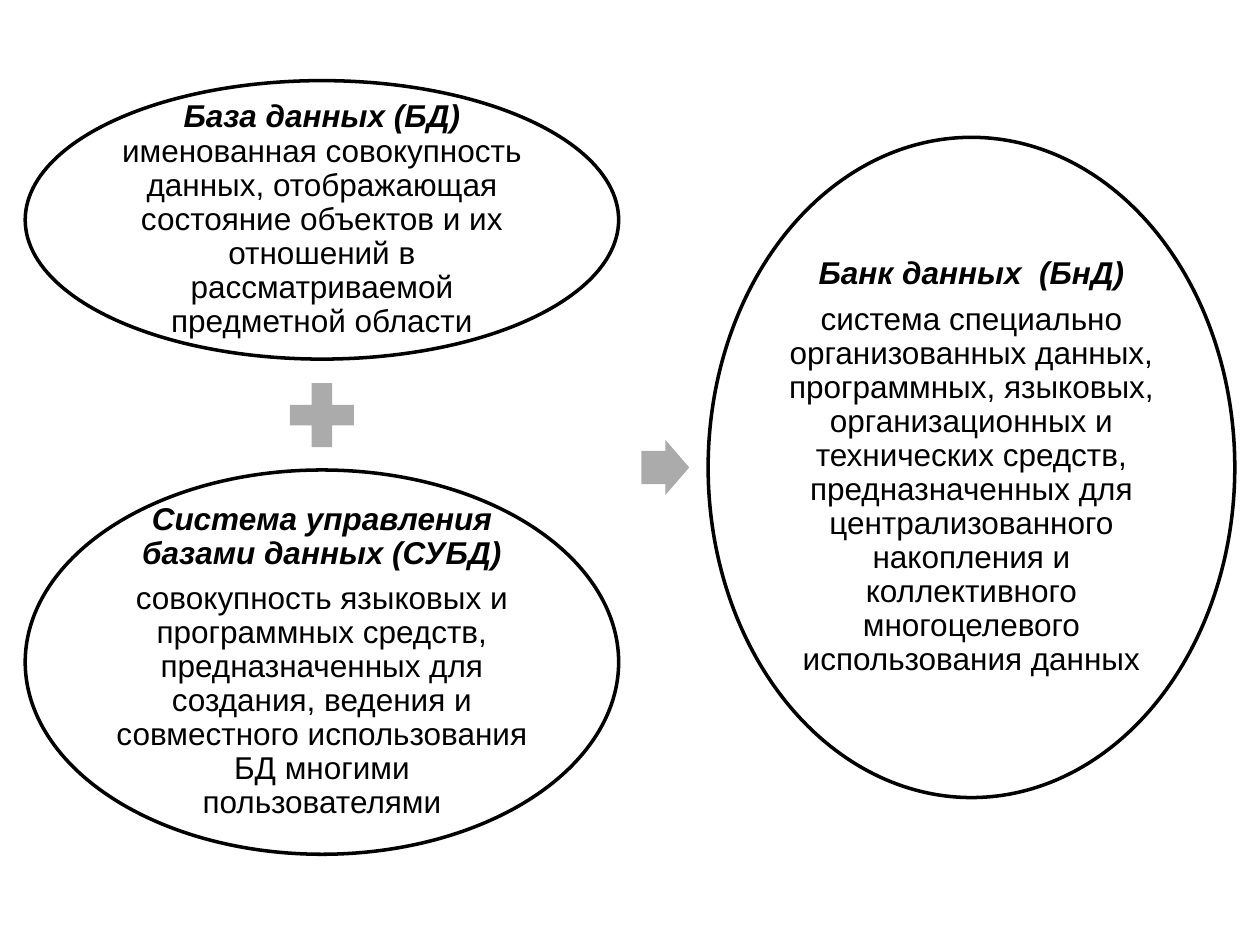
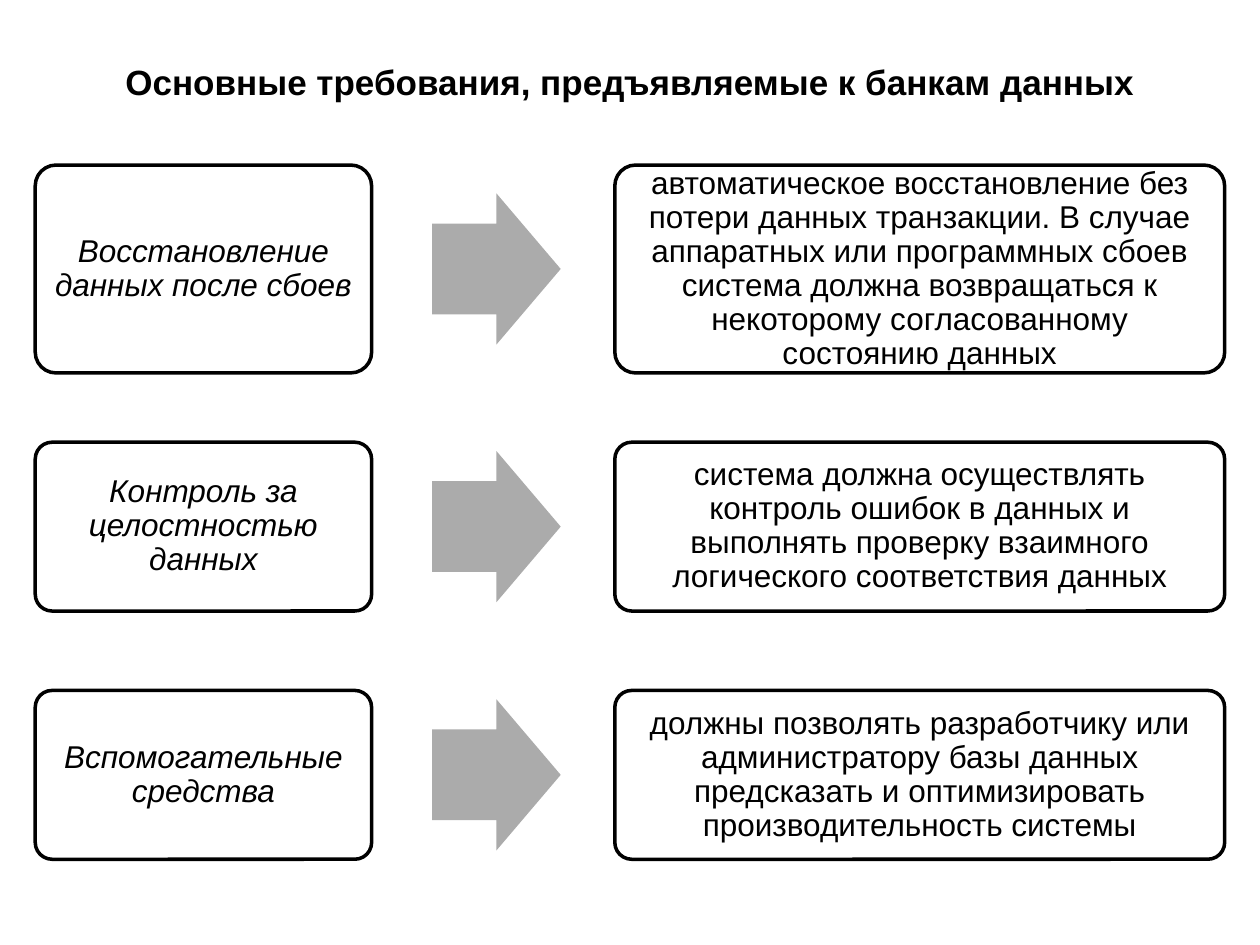
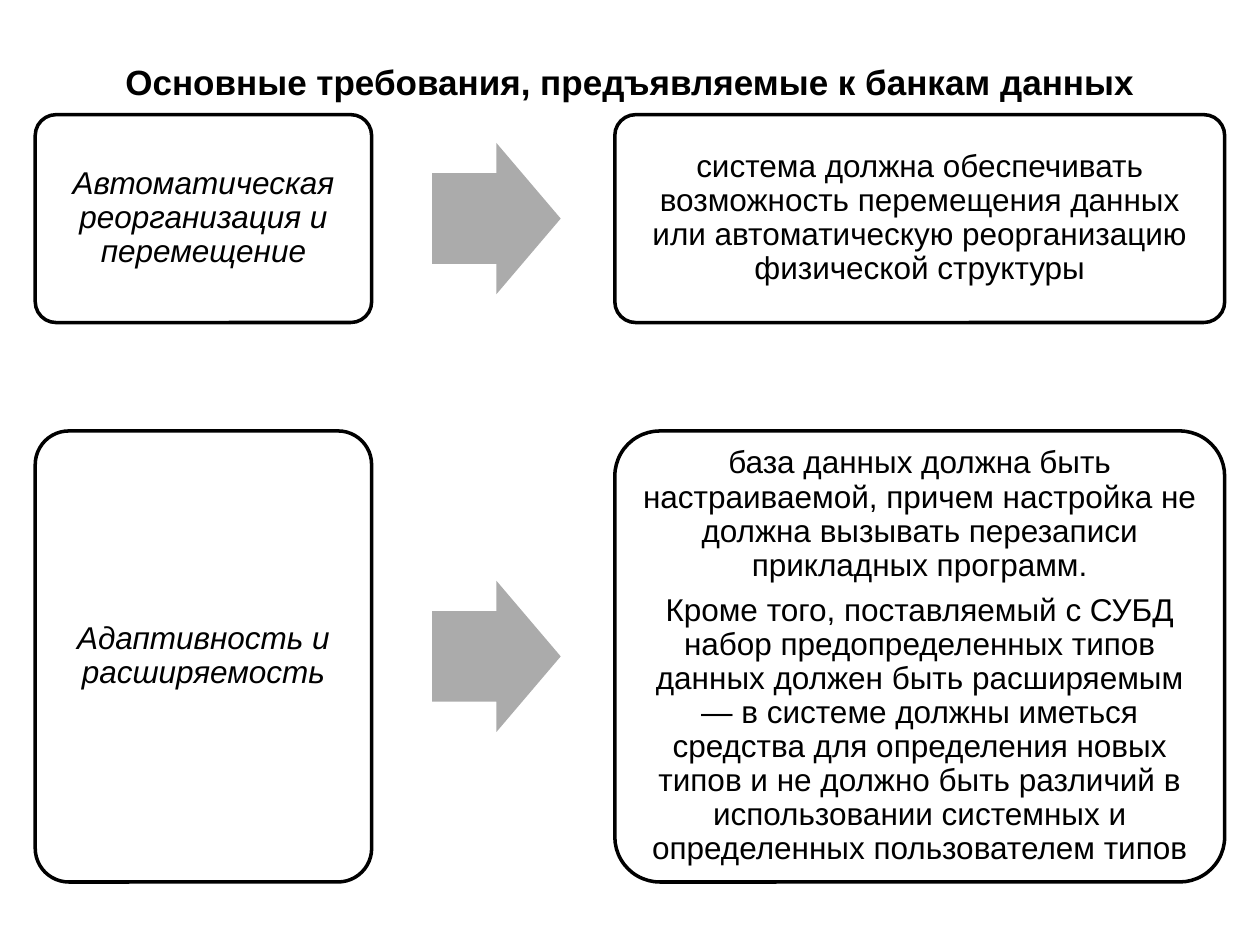
from pptx import Presentation
from pptx.dml.color import RGBColor
from pptx.enum.shapes import MSO_SHAPE
from pptx.enum.text import MSO_ANCHOR, PP_ALIGN
from pptx.util import Inches, Pt

# Theme: colours, type sizes and formats
THEME = {
    "ink": RGBColor(0, 0, 0),
    "paper": RGBColor(255, 255, 255),
    "sign": RGBColor(0xAB, 0xAB, 0xAB),
    "line": Pt(2),
    "title": {"name": "Arial", "size": Pt(20), "bold": True},
    "body": {"name": "Arial", "size": Pt(18), "bold": False, "italic": False},
    "term": {"name": "Arial", "size": Pt(18), "bold": True, "italic": True},
    "label": {"name": "Arial", "size": Pt(18), "bold": False, "italic": True},
    "para": {"alignment": PP_ALIGN.CENTER, "line_spacing": 0.9,
             "space_after": Pt(6.3)},
}


def write(para, text, style):
    run = para.add_run()
    run.text = text
    for key, val in THEME[style].items():
        setattr(run.font, key, val)
    run.font.color.rgb = THEME["ink"]


def draw(slide, kind, spot, adjust=(), paras=(), inset=0.0):
    """Add a framed shape with text, or a plain grey sign without."""
    shape = slide.shapes.add_shape(kind, *[Inches(n) for n in spot])
    shape.shadow.inherit = False
    for i, val in enumerate(adjust):
        shape.adjustments[i] = val
    shape.fill.solid()
    if not paras:
        shape.fill.fore_color.rgb = THEME["sign"]
        shape.line.fill.background()
        return
    shape.fill.fore_color.rgb = THEME["paper"]
    shape.line.color.rgb = THEME["ink"]
    shape.line.width = THEME["line"]
    frame = shape.text_frame
    frame.word_wrap = True
    frame.vertical_anchor = MSO_ANCHOR.MIDDLE
    for side in ("left", "top", "right", "bottom"):
        setattr(frame, "margin_" + side, Inches(inset))
    for i, runs in enumerate(paras):
        para = frame.add_paragraph() if i else frame.paragraphs[0]
        for key, val in THEME["para"].items():
            setattr(para, key, val)
        for text, style in runs:
            write(para, text, style)


deck = Presentation()
deck.slide_width, deck.slide_height = Inches(10), Inches(7.5)

# Slide 1: database plus its control system make a data bank
slide = deck.slides.add_slide(deck.slide_layouts[6])
ovals = [
    ((0.2, 0.64, 4.71, 2.21), [
        [("База данных (БД) ", "term"),
         ("именованная совокупность данных, отображающая состояние объектов "
          "и их отношений в рассматриваемой предметной области", "body")]]),
    ((0.2, 3.73, 4.71, 3.05), [
        [("Система управления базами данных (СУБД)", "term")],
        [("совокупность языковых и программных средств, предназначенных для "
          "создания, ведения и совместного использования БД многими "
          "пользователями", "body")]]),
    ((5.62, 1.09, 4.18, 5.24), [
        [("Банк данных  (БнД)", "term")],
        [("система специально организованных данных, программных, языковых, "
          "организационных и технических средств, предназначенных для "
          "централизованного накопления и коллективного многоцелевого "
          "использования данных", "body")]]),
]
for spot, paras in ovals:
    draw(slide, MSO_SHAPE.OVAL, spot, paras=paras, inset=0.03)
draw(slide, MSO_SHAPE.MATH_PLUS, (2.21, 2.95, 0.69, 0.69), [0.235])
draw(slide, MSO_SHAPE.RIGHT_ARROW, (5.09, 3.49, 0.38, 0.44), [0.6, 0.5])

# Slides 2 and 3: rows of top, height, demand and its meaning
pages = [
    [(1.31, 1.65, "Восстановление данных после сбоев",
      ["автоматическое восстановление без потери данных транзакции. В случае "
       "аппаратных или программных сбоев система должна возвращаться к "
       "некоторому согласованному состоянию данных"]),
     (3.51, 1.34, "Контроль за целостностью данных",
      ["система должна осуществлять контроль ошибок в данных и выполнять "
       "проверку взаимного логического соответствия данных"]),
     (5.48, 1.34, "Вспомогательные средства",
      ["должны позволять разработчику или администратору базы данных "
       "предсказать и оптимизировать производительность системы"])],
    [(0.91, 1.65, "Автоматическая реорганизация и перемещение",
      ["система должна обеспечивать возможность перемещения данных или "
       "автоматическую реорганизацию физической структуры"]),
     (3.42, 3.58, "Адаптивность и расширяемость",
      ["база данных должна быть настраиваемой, причем настройка не должна "
       "вызывать перезаписи прикладных программ.",
       "Кроме того, поставляемый с СУБД набор предопределенных типов данных "
       "должен быть расширяемым — в системе должны иметься средства для "
       "определения новых типов и не должно быть различий в использовании "
       "системных и определенных пользователем типов"])],
]
ARROW = 1.2
for rows in pages:
    slide = deck.slides.add_slide(deck.slide_layouts[5])

    # Title
    title = slide.shapes.title
    place = {"left": 0.5, "top": 0.3, "width": 9, "height": 0.69}
    for key, val in place.items():
        setattr(title, key, Inches(val))
    title.text_frame.vertical_anchor = MSO_ANCHOR.MIDDLE
    para = title.text_frame.paragraphs[0]
    para.alignment = PP_ALIGN.CENTER
    write(para, "Основные требования, предъявляемые к банкам данных", "title")

    # Label, arrow and meaning in each row
    for top, high, label, notes in rows:
        draw(slide, MSO_SHAPE.ROUNDED_RECTANGLE, (0.28, top, 2.67, high),
             [0.1], [[(label, "label")]], 0.08)
        draw(slide, MSO_SHAPE.RIGHT_ARROW,
             (3.43, top + (high - ARROW) / 2, 1.02, ARROW), [0.6, 0.5])
        draw(slide, MSO_SHAPE.ROUNDED_RECTANGLE, (4.88, top, 4.84, high),
             [0.1], [[(note, "body")] for note in notes], 0.08)

deck.save("out.pptx")
